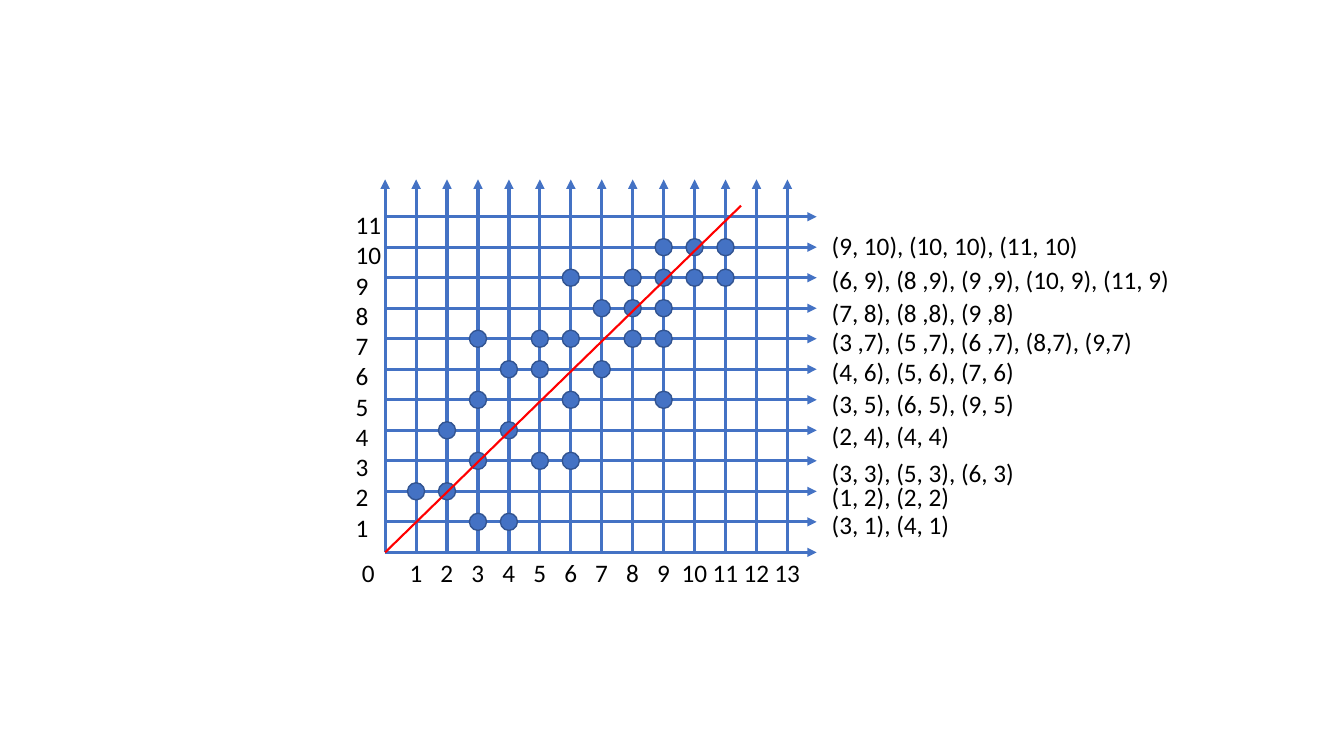
import pptx
import pptx.dml.color
import pptx.enum.shapes
import pptx.enum.text
import pptx.util
from lxml import etree
from pptx.oxml.ns import qn

Inches = pptx.util.Inches
COLORS = {"grid": "4472C4", "dot_edge": "325491", "diagonal": "FF0000", "text": "000000"}
LEFT, RIGHT, TOP, BOTTOM = 3.82, 8.1, 1.78, 5.48
COLUMNS, ROWS = 13, 11
COLUMN_STEP = (7.81 - LEFT) / COLUMNS
ROW_STEP = (BOTTOM - 2.15) / ROWS
DOT_SIZE = 0.17

# Top of each label and the grid points it lists
POINT_ROWS = [
    (5.0, "(3, 1), (4, 1)"),
    (4.73, "(1, 2), (2, 2)"),
    (4.49, "(3, 3), (5, 3), (6, 3)"),
    (4.12, "(2, 4), (4, 4)"),
    (3.8, "(3, 5), (6, 5), (9, 5)"),
    (3.49, "(4, 6), (5, 6), (7, 6)"),
    (3.19, "(3 ,7), (5 ,7), (6 ,7), (8,7), (9,7)"),
    (2.9, "(7, 8), (8 ,8), (9 ,8)"),
    (2.57, "(6, 9), (8 ,9), (9 ,9), (10, 9), (11, 9)"),
    (2.24, "(9, 10), (10, 10), (11, 10)"),
]


def rgb(name):
    """Return the named colour."""
    return pptx.dml.color.RGBColor.from_string(COLORS[name])


def column_x(column):
    """Return the horizontal place of a grid column in inches."""
    return LEFT + column * COLUMN_STEP


def row_y(row):
    """Return the vertical place of a grid row in inches."""
    return BOTTOM - row * ROW_STEP


def add_line(slide, start, end, color, width, arrow=False):
    """Draw a straight line, with an arrowhead at its end if asked."""
    line = slide.shapes.add_connector(
        pptx.enum.shapes.MSO_CONNECTOR.STRAIGHT, *(Inches(v) for v in start + end))
    line.line.color.rgb = rgb(color)
    line.line.width = pptx.util.Pt(width)
    if arrow:
        etree.SubElement(line.line._get_or_add_ln(), qn("a:tailEnd"), type="triangle")
    etree.SubElement(line._element.spPr, qn("a:effectLst"))


def add_dot(slide, column, row):
    """Draw a dot centred on a grid point."""
    dot = slide.shapes.add_shape(
        pptx.enum.shapes.MSO_SHAPE.OVAL,
        Inches(column_x(column) - DOT_SIZE / 2), Inches(row_y(row) - DOT_SIZE / 2),
        Inches(DOT_SIZE), Inches(DOT_SIZE))
    dot.shadow.inherit = False
    dot.fill.solid()
    dot.fill.fore_color.rgb = rgb("grid")
    dot.line.color.rgb = rgb("dot_edge")
    dot.line.width = pptx.util.Pt(1)


def add_label(slide, left, top, width, height, text):
    """Add a wrapped text box and return its text frame."""
    box = slide.shapes.add_textbox(*(Inches(v) for v in (left, top, width, height)))
    frame = box.text_frame
    frame.word_wrap = True
    frame.auto_size = pptx.enum.text.MSO_AUTO_SIZE.SHAPE_TO_FIT_TEXT
    frame.text = text
    for paragraph in frame.paragraphs:
        for run in paragraph.runs:
            run.font.name = "Calibri"
            run.font.size = pptx.util.Pt(18)
            run.font.color.rgb = rgb("text")
    return frame


def add_column_numbers(slide):
    """Number the columns in one line, each centred by a tab stop."""
    left = 3.49
    numbers = "\t".join(str(n) for n in range(COLUMNS + 1))
    frame = add_label(slide, left, BOTTOM, 4.84, 0.4, numbers)
    tabs = etree.SubElement(frame.paragraphs[0]._p.get_or_add_pPr(), qn("a:tabLst"))
    for column in range(1, COLUMNS + 1):
        stop = Inches(column_x(column) - left) - frame.margin_left
        etree.SubElement(tabs, qn("a:tab"), pos=str(int(stop)), algn="ctr")


def main():
    """Build the slide and save it."""
    presentation = pptx.Presentation()
    presentation.slide_width = Inches(13.33)
    presentation.slide_height = Inches(7.5)
    slide = presentation.slides.add_slide(presentation.slide_layouts[6])

    for row in range(ROWS + 1):
        add_line(slide, (LEFT, row_y(row)), (RIGHT, row_y(row)), "grid", 2.25, arrow=True)
    for column in range(COLUMNS + 1):
        x = column_x(column)
        add_line(slide, (x, BOTTOM), (x, TOP), "grid", 2.25, arrow=True)

    for _, points in POINT_ROWS:
        for point in points.strip("()").split("), ("):
            column, row = map(int, point.split(","))
            add_dot(slide, column, row)
    add_line(slide, (LEFT, BOTTOM), (7.35, 2.04), "diagonal", 1.5)

    row_numbers = "\n".join(str(n) for n in range(ROWS, 0, -1))
    add_label(slide, 3.43, 2.03, 0.47, 3.43, row_numbers)
    add_column_numbers(slide)
    for top, points in POINT_ROWS:
        add_label(slide, 8.15, top, 3.91, 0.4, points)

    presentation.save("out.pptx")


main()
